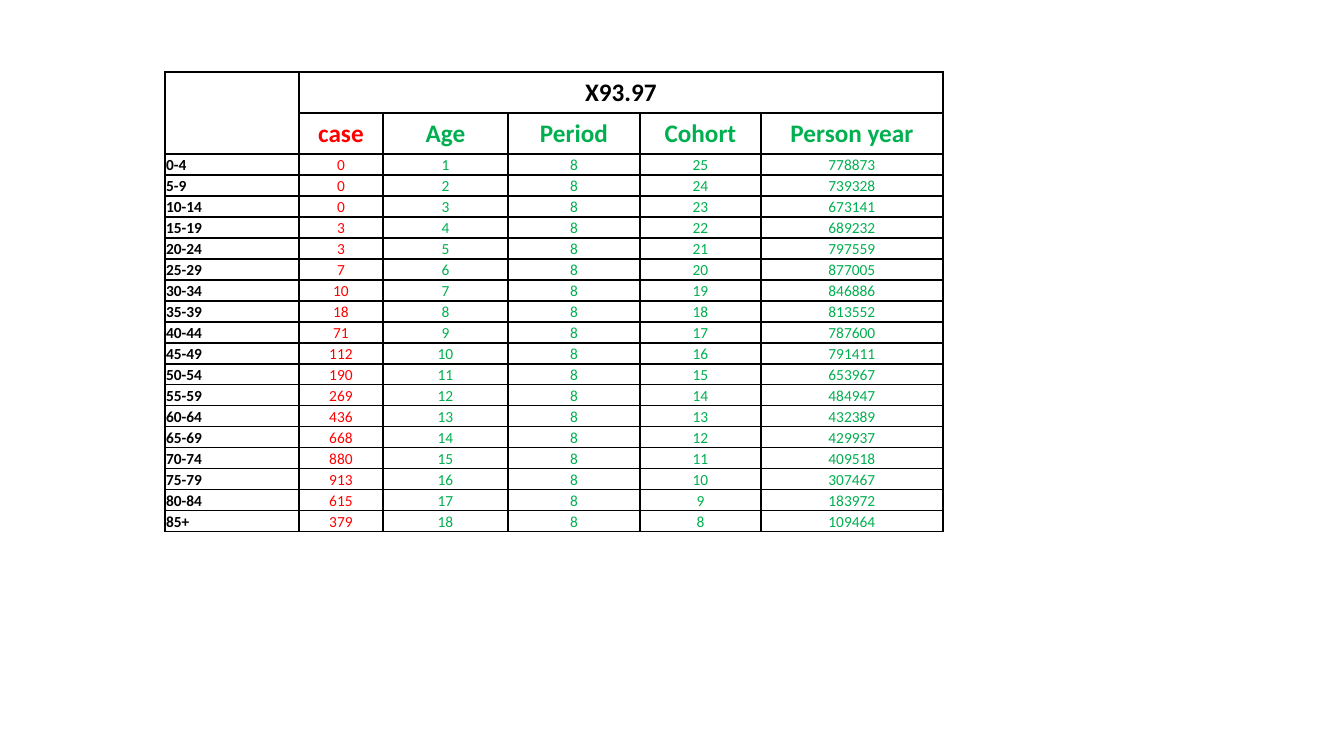
from lxml.etree import SubElement
from pptx import Presentation
from pptx.dml.color import RGBColor
from pptx.enum.text import MSO_ANCHOR as Anchor, PP_ALIGN as Align
from pptx.oxml.ns import qn
from pptx.util import Pt

PX = 914400 / 100.8
BLACK = RGBColor(0x00, 0x00, 0x00)
RED = RGBColor(0xFF, 0x00, 0x00)
GREEN = RGBColor(0x00, 0xB0, 0x50)
WHITE = RGBColor(0xFF, 0xFF, 0xFF)

COLUMN_WIDTHS = [134, 84, 125, 132, 121, 182]
HEADER_HEIGHT, BODY_HEIGHT = 41, 21
COLUMN_COLORS = [BLACK, RED] + [GREEN] * 4
HEADINGS = ["case", "Age", "Period", "Cohort", "Person year"]
PERIOD = 8
CASES = [0, 0, 0, 3, 3, 7, 10, 18, 71, 112, 190, 269, 436, 668, 880, 913, 615, 379]
PERSON_YEARS = [
    778873, 739328, 673141, 689232, 797559, 877005, 846886, 813552, 787600,
    791411, 653967, 484947, 432389, 429937, 409518, 307467, 183972, 109464,
]


def px(length):
    return round(length * PX)


def write(cell, text, size=11, color=BLACK, bold=False, align=Align.CENTER):
    para = cell.text_frame.paragraphs[0]
    para.alignment = align
    span = para.add_run()
    span.text = str(text)
    span.font.name = "Calibri"
    span.font.size = Pt(size)
    span.font.bold = bold
    span.font.color.rgb = color


deck = Presentation()
deck.slide_width, deck.slide_height = px(1344), px(756)
page = deck.slides.add_slide(deck.slide_layouts[6])

group_count = len(CASES)
heights = [HEADER_HEIGHT] * 2 + [BODY_HEIGHT] * group_count
frame = page.shapes.add_table(
    len(heights), len(COLUMN_WIDTHS), px(165), px(72), px(sum(COLUMN_WIDTHS)), px(sum(heights))
)
table = frame.table
table.first_row = table.horz_banding = False
for column, width in zip(table.columns, COLUMN_WIDTHS):
    column.width = px(width)
for row, height in zip(table.rows, heights):
    row.height = px(height)

for cell in table.iter_cells():
    properties = cell._tc.get_or_add_tcPr()
    for side in ("a:lnL", "a:lnR", "a:lnT", "a:lnB"):
        border = SubElement(properties, qn(side), w=str(Pt(1)))
        paint = SubElement(border, qn("a:solidFill"))
        SubElement(paint, qn("a:srgbClr"), val=str(BLACK))
    cell.fill.solid()
    cell.fill.fore_color.rgb = WHITE

table.cell(0, 0).merge(table.cell(1, 0))
table.cell(0, 1).merge(table.cell(0, 5))
write(table.cell(0, 1), "X93.97", size=18, bold=True)
for index, heading in enumerate(HEADINGS, start=1):
    write(table.cell(1, index), heading, size=18, color=COLUMN_COLORS[index], bold=True)

for age, (cases, person_years) in enumerate(zip(CASES, PERSON_YEARS), start=1):
    youngest = 5 * (age - 1)
    label = f"{youngest}+" if age == group_count else f"{youngest}-{youngest + 4}"
    cohort = PERIOD + group_count - age
    values = [label, cases, age, PERIOD, cohort, person_years]
    for index, value in enumerate(values):
        cell = table.cell(age + 1, index)
        cell.vertical_anchor = Anchor.BOTTOM
        cell.margin_left = cell.margin_right = cell.margin_top = px(1)
        cell.margin_bottom = 0
        is_label = index == 0
        write(cell, value, color=COLUMN_COLORS[index], bold=is_label,
              align=Align.LEFT if is_label else Align.CENTER)

deck.save("out.pptx")
